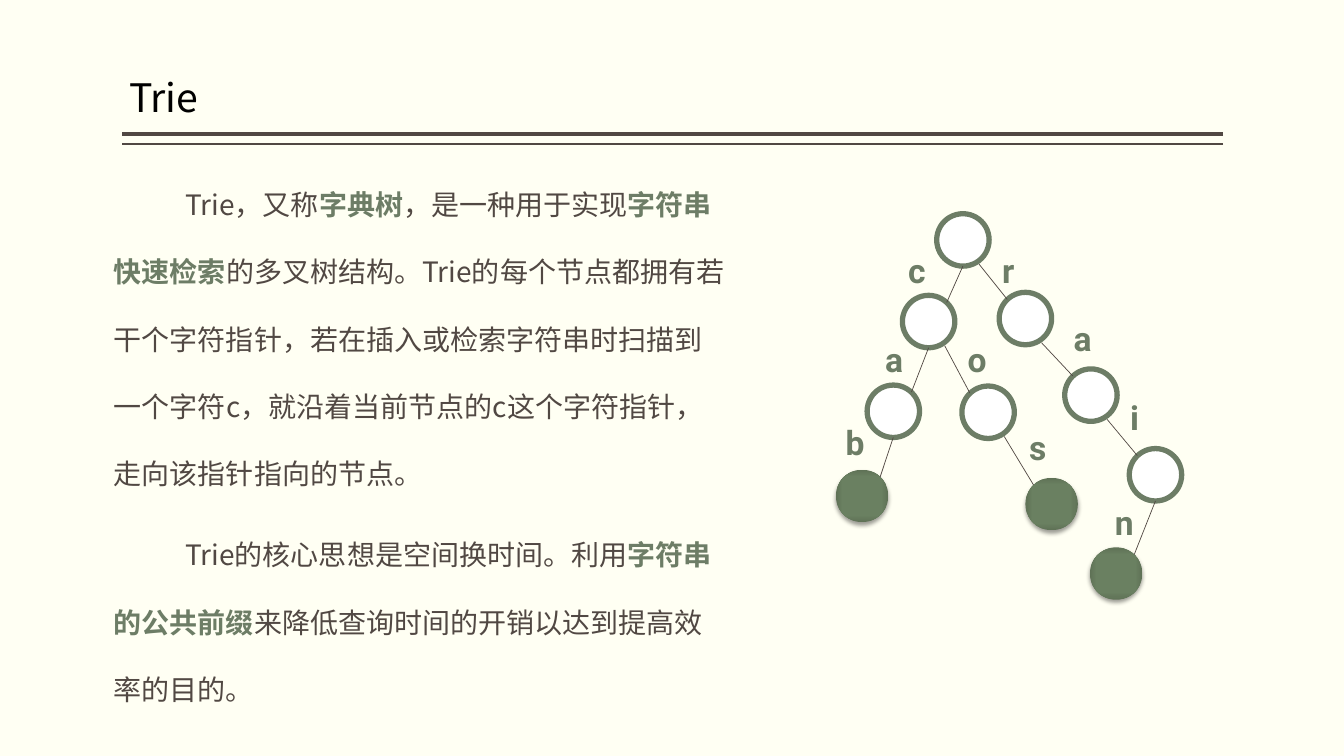
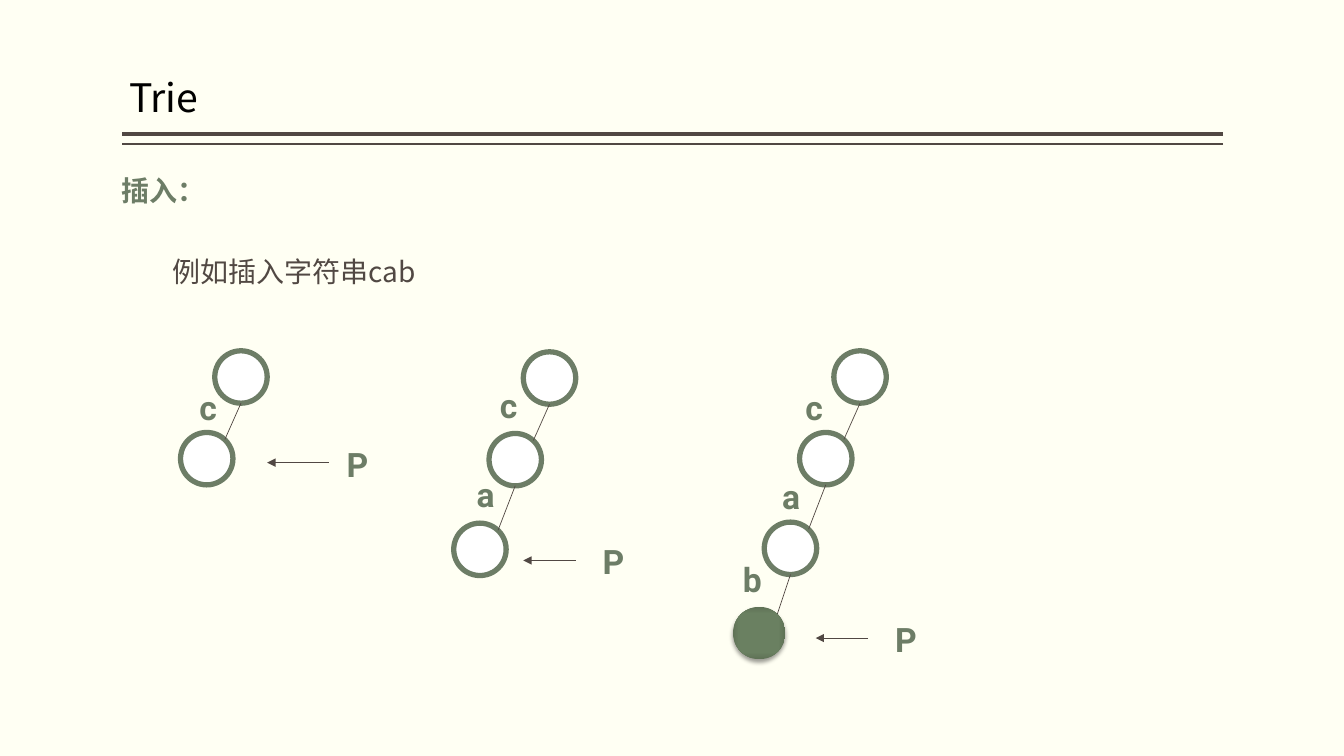
from collections import namedtuple
from dataclasses import dataclass

from pptx import Presentation
from pptx import util as u
from pptx.dml.color import RGBColor
from pptx.enum import shapes, text
from pptx.oxml import parse_xml
from pptx.oxml.ns import nsdecls, qn

PX = 9144  # 100 px to the inch


@dataclass(frozen=True)
class Theme:
    paper: str = "FFFFF3"
    ink: str = "514843"
    green: str = "6D7D66"
    white: str = "FFFFFF"
    black: str = "000000"
    shades: tuple = ((0, "6B8162"), (71, "6A8061"), (100, "5F7256"))
    sans: str = "Noto Sans CJK SC"
    mark: str = "Roboto"
    title: int = 28
    body: int = 20
    label: int = 24
    ring: float = 3.78
    thin: float = 0.5


T = Theme()
Node = namedtuple("Node", "key parent x y tag_x tag_y end", defaults=(False,))

# Places are relative to the root's top left corner.
SIZE = 52
CHAIN = [
    Node("", None, 0, 0, 0, 0),
    Node("c", 0, -34, 81, -38, 31),
    Node("a", 1, -69, 170, -61, 119),
    Node("b", 2, -100, 254, -100, 202, True),
]
TREE = CHAIN + [
    Node("o", 1, 25, 171, 21, 119),
    Node("s", 4, 88, 262, 82, 207, True),
    Node("r", 0, 62, 78, 55, 31),
    Node("a", 6, 127, 154, 126, 98),
    Node("i", 7, 191, 233, 182, 177),
    Node("n", 8, 152, 331, 167, 281, True),
]

INTRO = [
    "Trie，又称*字典树*，是一种用于实现*字符串快速检索*的多叉树结构。"
    "Trie的每个节点都拥有若干个字符指针，若在插入或检索字符串时扫描到一个字符c，"
    "就沿着当前节点的c这个字符指针，走向该指针指向的节点。",
    "Trie的核心思想是空间换时间。利用*字符串的公共前缀*"
    "来降低查询时间的开销以达到提高效率的目的。",
]


def px(*vals):
    return [u.Emu(v * PX) for v in vals]


def rgb(code):
    return RGBColor.from_string(code)


def write(slide, box, paras, size=T.body, face=T.sans, color=T.ink,
          indents=(), gap=0, lead=None, pad=10, anchor="TOP"):
    """Add a text box; words between asterisks are bold and green."""
    frame = slide.shapes.add_textbox(*px(*box)).text_frame
    frame.word_wrap = True
    frame.vertical_anchor = text.MSO_ANCHOR[anchor]
    frame.margin_left = frame.margin_right = px(pad)[0]
    for i, line in enumerate(paras):
        para = frame.add_paragraph() if i else frame.paragraphs[0]
        if indents:
            para._p.get_or_add_pPr().set("indent", str(indents[i] * PX))
        para.space_after = u.Pt(gap)
        if lead:
            para.line_spacing = lead
        for j, part in enumerate(line.split("*")):
            if not part:
                continue
            run = para.add_run()
            run.text = part
            font = run.font
            font.size, font.name, font.bold = u.Pt(size), face, j % 2 == 1
            font.color.rgb = rgb(T.green if font.bold else color)
            east = parse_xml(f'<a:ea {nsdecls("a")} typeface="{face}"/>')
            run._r.rPr.find(qn("a:latin")).addnext(east)


def line(slide, start, end, width=T.thin, arrow=False):
    link = slide.shapes.add_connector(
        shapes.MSO_CONNECTOR.STRAIGHT, *px(*start, *end))
    link.line.color.rgb = rgb(T.ink)
    link.line.width = u.Pt(width)
    if arrow:
        link.line._get_or_add_ln().append(
            parse_xml(f'<a:tailEnd {nsdecls("a")} type="triangle"/>'))
    link._element.spPr.append(parse_xml(f'<a:effectLst {nsdecls("a")}/>'))


def shade(disc):
    """Give a disc its gradient and soft shadow."""
    stops = "".join(f'<a:gs pos="{pos * 1000}"><a:srgbClr val="{code}"/></a:gs>'
                    for pos, code in T.shades)
    prop = disc._element.spPr
    prop.insert(2, parse_xml(
        f'<a:gradFill {nsdecls("a")} rotWithShape="1"><a:gsLst>{stops}</a:gsLst>'
        '<a:path path="rect"><a:fillToRect l="50000" t="50000" r="50000" '
        'b="50000"/></a:path></a:gradFill>'))
    disc.line.fill.background()
    prop.append(parse_xml(
        f'<a:effectLst {nsdecls("a")}><a:outerShdw blurRad="{u.Pt(3.1)}" '
        f'dist="{u.Pt(2)}" dir="5400000" rotWithShape="0"><a:srgbClr '
        f'val="{T.black}"><a:alpha val="38000"/></a:srgbClr></a:outerShdw>'
        '</a:effectLst>'))


def circle(slide, x, y, end):
    disc = slide.shapes.add_shape(
        shapes.MSO_SHAPE.OVAL, *px(x, y, SIZE, SIZE))
    if end:
        shade(disc)
        return
    disc.shadow.inherit = False
    disc.fill.solid()
    disc.fill.fore_color.rgb = rgb(T.white)
    disc.line.color.rgb = rgb(T.green)
    disc.line.width = u.Pt(T.ring)


def label(slide, x, y, word):
    write(slide, (x, y, 86, 50), [f"*{word}*"], size=T.label, face=T.mark)


def tree(slide, x, y, nodes, nudge=(0, 0)):
    """Draw nodes with their links; nudge moves the letters."""
    for node in nodes:
        left, top = x + node.x, y + node.y
        circle(slide, left, top, node.end)
        if node.parent is None:
            continue
        above = nodes[node.parent]
        out, into = ((26, 52), (44, 7)) if node.x < above.x else ((42, 50), (8, 7))
        line(slide, (x + above.x + out[0], y + above.y + out[1]),
             (left + into[0], top + into[1]))
        label(slide, x + node.tag_x + nudge[0], y + node.tag_y + nudge[1], node.key)


def point(slide, tip, y, width, gap):
    """Draw an arrow to the left, marked P at its start."""
    start = tip + width
    line(slide, (start, y), (tip, y), arrow=True)
    label(slide, start + gap, y - 24, "P")


def frame(deck, title):
    slide = deck.slides.add_slide(deck.slide_layouts[6])
    slide.background.fill.solid()
    slide.background.fill.fore_color.rgb = rgb(T.paper)
    for y, width in ((133, 3), (143, 1)):
        line(slide, (1213, y), (121, y), width)
    write(slide, (128, 63, 983, 62), [title], size=T.title, color=T.black,
          lead=0.9, pad=0, anchor="BOTTOM")
    return slide


def intro(deck):
    slide = frame(deck, "Trie")
    write(slide, (103, 148, 631, 553), INTRO, indents=(71, 71), gap=10, lead=2.0)
    tree(slide, 929, 212, TREE)


def insert(deck):
    slide = frame(deck, "Trie")
    write(slide, (111, 134, 1050, 149), ["*插入：*", "例如插入字符串cab"],
          indents=(0, 50), gap=10, lead=2.0)
    steps = [
        (213, 348, (13, 0), (265, 459, 61, 8)),
        (519, 349, (5, -3), (519, 556, 52, 17)),
        (827, 348, (0, 0), (809, 633, 52, 17)),
    ]
    for depth, (x, y, nudge, arrow) in enumerate(steps, 2):
        tree(slide, x, y, CHAIN[:depth], nudge)
        point(slide, *arrow)


def main():
    deck = Presentation()
    deck.slide_width, deck.slide_height = px(1333, 750)
    intro(deck)
    insert(deck)
    deck.save("out.pptx")


if __name__ == "__main__":
    main()
